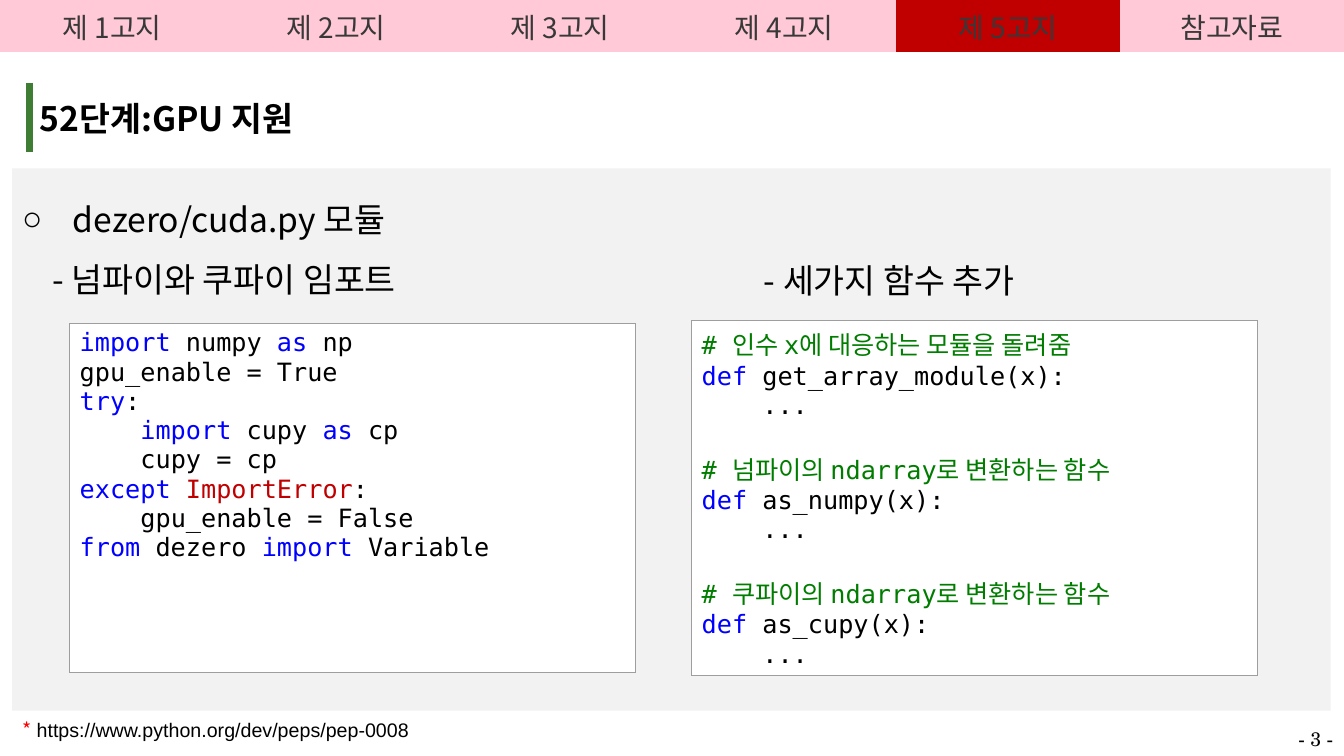
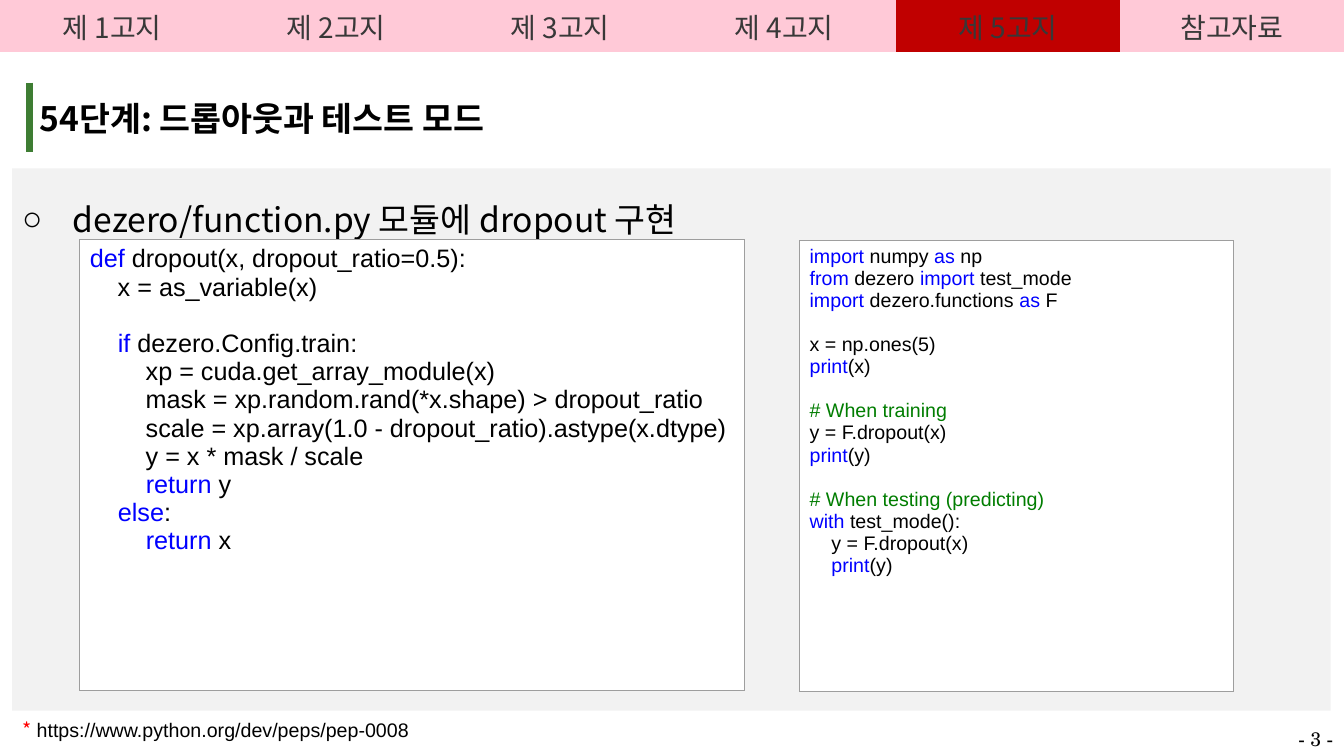
"""Build two lecture slides on GPU support and dropout."""
from itertools import groupby

from lxml.etree import SubElement
from pptx import Presentation
from pptx.dml.color import RGBColor
from pptx.enum.text import MSO_ANCHOR, MSO_AUTO_SIZE, PP_ALIGN
from pptx.oxml.ns import qn
from pptx.util import Inches, Pt

BLACK = RGBColor(0x00, 0x00, 0x00)
WHITE = RGBColor(0xFF, 0xFF, 0xFF)
RED = RGBColor(0xFF, 0x00, 0x00)
PINK = RGBColor(0xFF, 0xC9, 0xD7)
CRIMSON = RGBColor(0xC0, 0x00, 0x00)
CHARCOAL = RGBColor(0x38, 0x38, 0x38)
PALE_GRAY = RGBColor(0xF2, 0xF2, 0xF2)
BORDER_GRAY = RGBColor(0x9E, 0x9E, 0x9E)
BAR_GREEN = RGBColor(0x3E, 0x7D, 0x33)
COMMENT_GREEN = RGBColor(0x00, 0x7D, 0x00)
KEYWORD_BLUE = RGBColor(0x00, 0x00, 0xFF)

KOREAN, MONO, SANS, SERIF = "Noto Sans CJK KR", "DejaVu Sans Mono", "Arial", "TeX Gyre Schola"
KEYWORDS = "import as try except from def if return else print with".split()
TOKEN_COLORS = dict.fromkeys(KEYWORDS, KEYWORD_BLUE) | {"ImportError": CRIMSON}
CHAPTERS = ["제 1고지", "제 2고지", "제 3고지", "제 4고지", "제 5고지", "참고자료"]
CURRENT_CHAPTER = "제 5고지"
PLAIN_TABLE = "{2D5ABB26-0587-4C30-8999-92F81FD0307C}"

WIDTH, HEIGHT = Inches(13.33), Inches(7.5)
SHARES = {
    "chapters": (0, 0, 100, 6.93),
    "title": (2.2, 10.93, 96.9, 8),
    "panel": (0.9, 22.27, 98.1, 71.73),
    "right point": (56.1, 33.7, 30, 7.5),
    "reference": (0.9, 94.27, 30.4, 4.53),
    "page": (95.87, 95.47, 4.1, 4.53),
    "imports": (5.18, 42.8, 42.1, 46.13),
    "functions": (51.46, 42.4, 42.1, 46.93),
    "dropout": (5.93, 31.73, 49.44, 59.6),
    "usage": (59.49, 31.87, 32.26, 59.6),
}
AREAS = {
    part: [int(share * size / 100) for share, size in zip(shares, (WIDTH, HEIGHT) * 2)]
    for part, shares in SHARES.items()
}

IMPORTS = """import numpy as np
gpu_enable = True
try:
    import cupy as cp
    cupy = cp
except ImportError:
    gpu_enable = False
from dezero import Variable"""

FUNCTIONS = """# 인수 x에 대응하는 모듈을 돌려줌
def get_array_module(x):
    ...

# 넘파이의 ndarray로 변환하는 함수
def as_numpy(x):
    ...

# 쿠파이의 ndarray로 변환하는 함수
def as_cupy(x):
    ..."""

DROPOUT = """def dropout(x, dropout_ratio=0.5):
    x = as_variable(x)

    if dezero.Config.train:
        xp = cuda.get_array_module(x)
        mask = xp.random.rand(*x.shape) > dropout_ratio
        scale = xp.array(1.0 - dropout_ratio).astype(x.dtype)
        y = x * mask / scale
        return y
    else:
        return x"""

USAGE = """import numpy as np
from dezero import test_mode
import dezero.functions as F

x = np.ones(5)
print(x)

# When training
y = F.dropout(x)
print(y)

# When testing (predicting)
with test_mode():
    y = F.dropout(x)
    print(y)"""

LESSONS = [
    ("52단계:GPU 지원",
     ["dezero/cuda.py 모듈", "- 넘파이와 쿠파이 임포트"],
     [("right point", "- 세가지 함수 추가", KOREAN, 24)],
     [("imports", IMPORTS, MONO, 18), ("functions", FUNCTIONS, MONO, 18)]),
    ("54단계: 드롭아웃과 테스트 모드",
     ["dezero/function.py 모듈에 dropout 구현"],
     [],
     [("dropout", DROPOUT, SANS, 18), ("usage", USAGE, SANS, 14)]),
]


def set_font(paragraph, name, size, color=BLACK, bold=False):
    font = paragraph.font
    font.name, font.size, font.bold = name, Pt(size), bold
    font.color.rgb = color


def add_row(slide, part, columns=1, sides="", edge_color=BLACK, edge_width=0):
    table = slide.shapes.add_table(1, columns, *AREAS[part]).table
    table.first_row = table.horz_banding = False
    table._tbl.tblPr.find(qn("a:tableStyleId")).text = PLAIN_TABLE
    cells = list(table.rows[0].cells)
    for side in sides:
        properties = cells[0]._tc.get_or_add_tcPr()
        edge = SubElement(properties, qn(f"a:ln{side}"), w=str(Pt(edge_width)))
        edge_fill = SubElement(edge, qn("a:solidFill"))
        SubElement(edge_fill, qn("a:srgbClr"), val=str(edge_color))
    return cells


deck = Presentation()
deck.slide_width, deck.slide_height = WIDTH, HEIGHT

for heading, points, side_points, listings in LESSONS:
    slide = deck.slides.add_slide(deck.slide_layouts[1])
    unused_title, panel = slide.placeholders
    unused_title._element.getparent().remove(unused_title._element)

    panel.left, panel.top, panel.width, panel.height = AREAS["panel"]
    panel.fill.solid()
    panel.fill.fore_color.rgb = PALE_GRAY
    outline = panel.text_frame
    outline.auto_size = MSO_AUTO_SIZE.NONE
    outline.vertical_anchor = MSO_ANCHOR.TOP
    outline.margin_left = outline.margin_right = outline.margin_top = Inches(0.1)
    outline.text = "\n".join(points)
    for level, paragraph in enumerate(outline.paragraphs):
        paragraph.level = level
        paragraph.line_spacing = 1.5
        paragraph.space_before = Pt(0)
        layout = paragraph._p.get_or_add_pPr()
        if level == 0:
            layout.set("marL", str(Inches(0.5)))
            layout.set("indent", str(-Inches(0.5)))
            bullet_color = SubElement(layout, qn("a:buClr"))
            SubElement(bullet_color, qn("a:srgbClr"), val=str(BLACK))
            SubElement(layout, qn("a:buChar"), char="○")
        else:
            layout.set("marL", str(Inches(0.3)))
            layout.set("indent", "0")
            SubElement(layout, qn("a:buNone"))
        set_font(paragraph, KOREAN, 24)

    title = add_row(slide, "title", 1, "L", BAR_GREEN, 6)[0]
    title.text = heading
    title.margin_left = title.margin_right = Inches(0.1)
    title.margin_top = title.margin_bottom = Inches(0.1)
    set_font(title.text_frame.paragraphs[0], KOREAN, 24, bold=True)

    for chapter, cell in zip(CHAPTERS, add_row(slide, "chapters", len(CHAPTERS))):
        cell.text = chapter
        cell.vertical_anchor = MSO_ANCHOR.MIDDLE
        cell.margin_left = cell.margin_right = Inches(0.04)
        cell.margin_top = cell.margin_bottom = Inches(0.04)
        cell.fill.solid()
        cell.fill.fore_color.rgb = CRIMSON if chapter == CURRENT_CHAPTER else PINK
        cell.text_frame.paragraphs[0].alignment = PP_ALIGN.CENTER
        set_font(cell.text_frame.paragraphs[0], KOREAN, 20, CHARCOAL)

    for part, label, face, size in side_points + [("page", "- 3 -", SERIF, 14)]:
        paragraph = slide.shapes.add_textbox(*AREAS[part]).text_frame.paragraphs[0]
        paragraph.text = label
        set_font(paragraph, face, size)

    reference = slide.shapes.add_textbox(*AREAS["reference"]).text_frame.paragraphs[0]
    set_font(reference, SANS, 14)
    star = reference.add_run()
    star.text = "*"
    star.font.name = KOREAN
    star.font.color.rgb = RED
    reference.add_run().text = " https://www.python.org/dev/peps/pep-0008"

    for part, code, face, size in listings:
        cell = add_row(slide, part, 1, "LRTB", BORDER_GRAY, 0.75)[0]
        cell.fill.solid()
        cell.fill.fore_color.rgb = WHITE

        paragraph, after_blank = cell.text_frame.paragraphs[0], False
        for number, line in enumerate(code.split("\n")):
            if not line:
                after_blank = True
                continue
            if number:
                paragraph = cell.text_frame.add_paragraph()
            set_font(paragraph, face, size)
            if after_blank:
                paragraph.add_line_break()
                after_blank = False
            if line.startswith("#"):
                colored = [(COMMENT_GREEN, [line])]
            else:
                tokens = ["".join(chars) for _, chars in groupby(line, str.isidentifier)]
                colored = groupby(tokens, lambda token: TOKEN_COLORS.get(token, BLACK))
            for color, pieces in colored:
                run = paragraph.add_run()
                run.text = "".join(pieces)
                run.font.color.rgb = color

deck.save("out.pptx")
